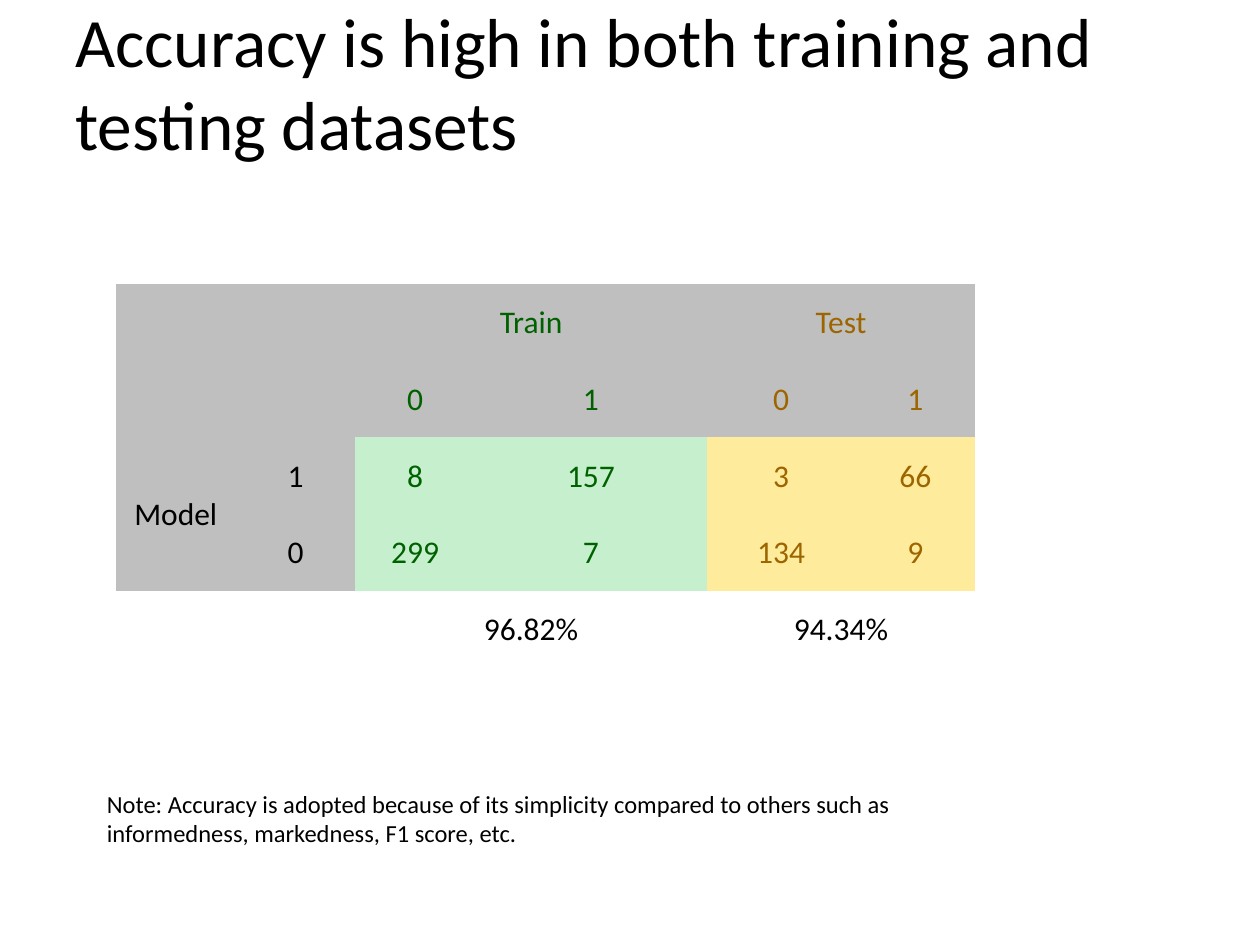
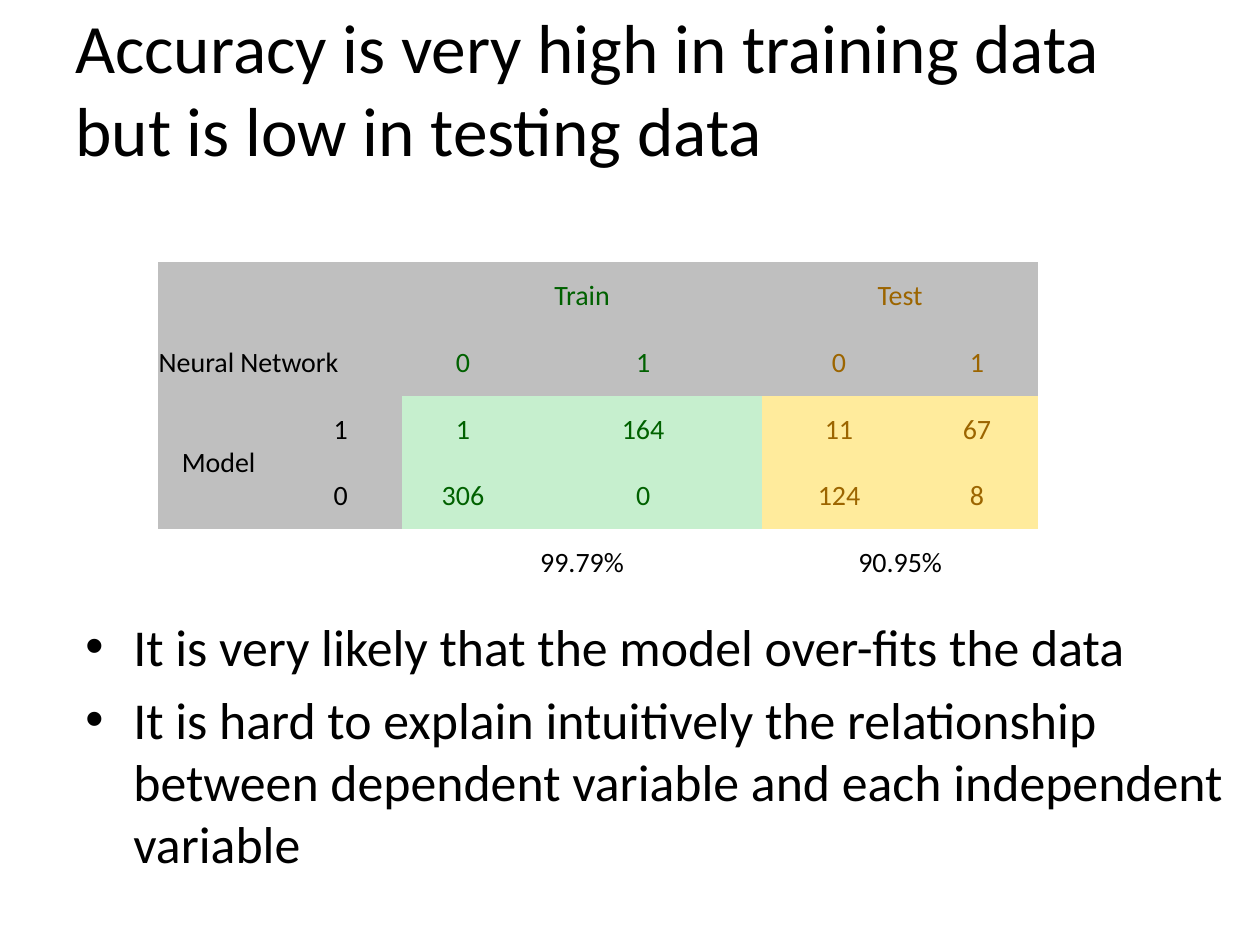
from pptx import Presentation
from pptx.dml.color import RGBColor
from pptx.enum.text import MSO_ANCHOR, PP_ALIGN
from pptx.oxml.ns import qn
from pptx.util import Inches, Pt
from lxml import etree

LEFT, CENTER = PP_ALIGN.LEFT, PP_ALIGN.CENTER
TOP, MIDDLE = MSO_ANCHOR.TOP, MSO_ANCHOR.MIDDLE
FONT = "Calibri"
COLORS = {
    "text": "000000",
    "header": "BFBFBF",
    "train": "006100",
    "train_fill": "C6EFCE",
    "test": "9C6500",
    "test_fill": "FFEB9C",
}
NO_GRID_STYLE = "{2D5ABB26-0587-4C30-8999-92F81FD0307C}"
LABEL_COLUMNS = 2
HEADER_ROWS = 2
ACCURACY_ROW = 4
SHARED_SPANS = [
    ((0, 2), (0, 3)),
    ((0, 4), (0, 5)),
    ((2, 0), (3, 0)),
    ((4, 2), (4, 3)),
    ((4, 4), (4, 5)),
]


def write_text(frame, *lines, size, color="text", align=LEFT, before=0, bullet=False):
    for index, line in enumerate(lines):
        paragraph = frame.paragraphs[0] if index == 0 else frame.add_paragraph()
        paragraph.alignment = align
        paragraph.space_before = Pt(before)
        run = paragraph.add_run()
        run.text = line
        run.font.name = FONT
        run.font.size = Pt(size)
        run.font.color.rgb = RGBColor.from_string(COLORS[color])
        if bullet:
            add_bullet(paragraph)


def add_bullet(paragraph):
    properties = paragraph._p.get_or_add_pPr()
    properties.set("marL", str(Inches(0.38)))
    properties.set("indent", str(Inches(-0.38)))
    etree.SubElement(properties, qn("a:buFont"), typeface="Arial")
    etree.SubElement(properties, qn("a:buChar"), char="•")


def add_text(slide, box, *lines, anchor=TOP, **text_format):
    frame = slide.shapes.add_textbox(*map(Inches, box)).text_frame
    frame.word_wrap = True
    frame.vertical_anchor = anchor
    write_text(frame, *lines, **text_format)


def add_title(slide, top, title):
    add_text(slide, (0.5, top, 9, 0.95), title, anchor=MIDDLE, size=39.6)


def cell_colors(row, column):
    if column < LABEL_COLUMNS:
        group, fill = "text", "header"
    else:
        group = "train" if column < 4 else "test"
        fill = "header" if row < HEADER_ROWS else group + "_fill"
    if row == ACCURACY_ROW:
        return "text", None
    return group, fill


def add_confusion_table(slide, left, top, widths, row_height, size, rows, spans):
    frame = slide.shapes.add_table(
        len(rows), len(widths), Inches(left), Inches(top),
        Inches(sum(widths)), Inches(row_height * len(rows)))
    table = frame.table
    table.first_row = table.horz_banding = False
    table._tbl.tblPr.find(qn("a:tableStyleId")).text = NO_GRID_STYLE
    for column, width in zip(table.columns, widths):
        column.width = Inches(width)
    for r, values in enumerate(rows):
        table.rows[r].height = Inches(row_height)
        for c, value in enumerate(values):
            cell = table.cell(r, c)
            cell.margin_left = cell.margin_right = cell.margin_top = Inches(0.01)
            cell.margin_bottom = 0
            cell.vertical_anchor = MIDDLE
            color, fill = cell_colors(r, c)
            if fill:
                cell.fill.solid()
                cell.fill.fore_color.rgb = RGBColor.from_string(COLORS[fill])
            else:
                cell.fill.background()
            if value:
                align = LEFT if value == "Neural Network" else CENTER
                write_text(cell.text_frame, value, size=size, color=color, align=align)
    for first, last in SHARED_SPANS + spans:
        table.cell(*first).merge(table.cell(*last))


def confusion_rows(predicted_one, predicted_zero, train_accuracy, test_accuracy, name=""):
    return [
        ["", "", "Train", "", "Test", ""],
        [name, "", "0", "1", "0", "1"],
        ["Model", "1", *predicted_one],
        ["", "0", *predicted_zero],
        ["", "", train_accuracy, "", test_accuracy, ""],
    ]


def build_high_accuracy(slide):
    add_title(slide, 0.17, "Accuracy is high in both training and testing datasets")
    rows = confusion_rows(["8", "157", "3", "66"], ["299", "7", "134", "9"],
                          "96.82%", "94.34%")
    add_confusion_table(slide, 0.92, 2.25, [0.95, 0.95, 0.95, 1.84, 1.18, 0.95],
                        0.61, 18, rows, [])
    add_text(slide, (0.75, 6.21, 7.17, 0.57),
             "Note: Accuracy is adopted because of its simplicity compared to others "
             "such as informedness, markedness, F1 score, etc.", size=14)


def build_overfitting(slide):
    add_title(slide, 0.22,
              "Accuracy is very high in training data but is low in testing data")
    rows = confusion_rows(["1", "164", "11", "67"], ["306", "0", "124", "8"],
                          "99.79%", "90.95%", name="Neural Network")
    add_confusion_table(slide, 1.25, 2.08, [0.97, 0.97, 0.97, 1.89, 1.22, 0.97],
                        0.53, 16, rows, [((0, 0), (0, 1)), ((1, 0), (1, 1))])
    add_text(slide, (0.58, 4.83, 9.42, 1.92),
             "It is very likely that the model over-fits the data",
             "It is hard to explain intuitively the relationship between dependent "
             "variable and each independent variable",
             size=29.6, before=6, bullet=True)


def main():
    deck = Presentation()
    deck.slide_width, deck.slide_height = Inches(10), Inches(7.5)
    blank = deck.slide_layouts[6]
    for build in (build_high_accuracy, build_overfitting):
        build(deck.slides.add_slide(blank))
    deck.save("out.pptx")


main()
